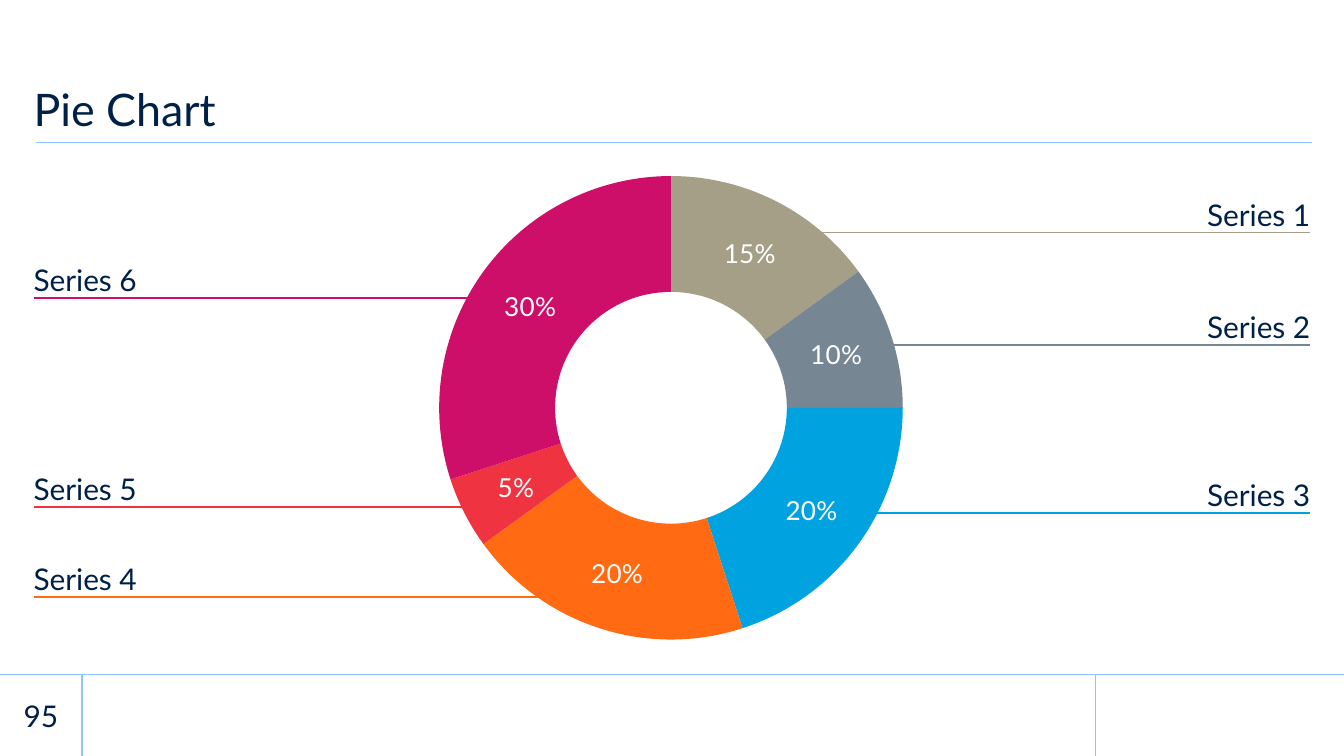
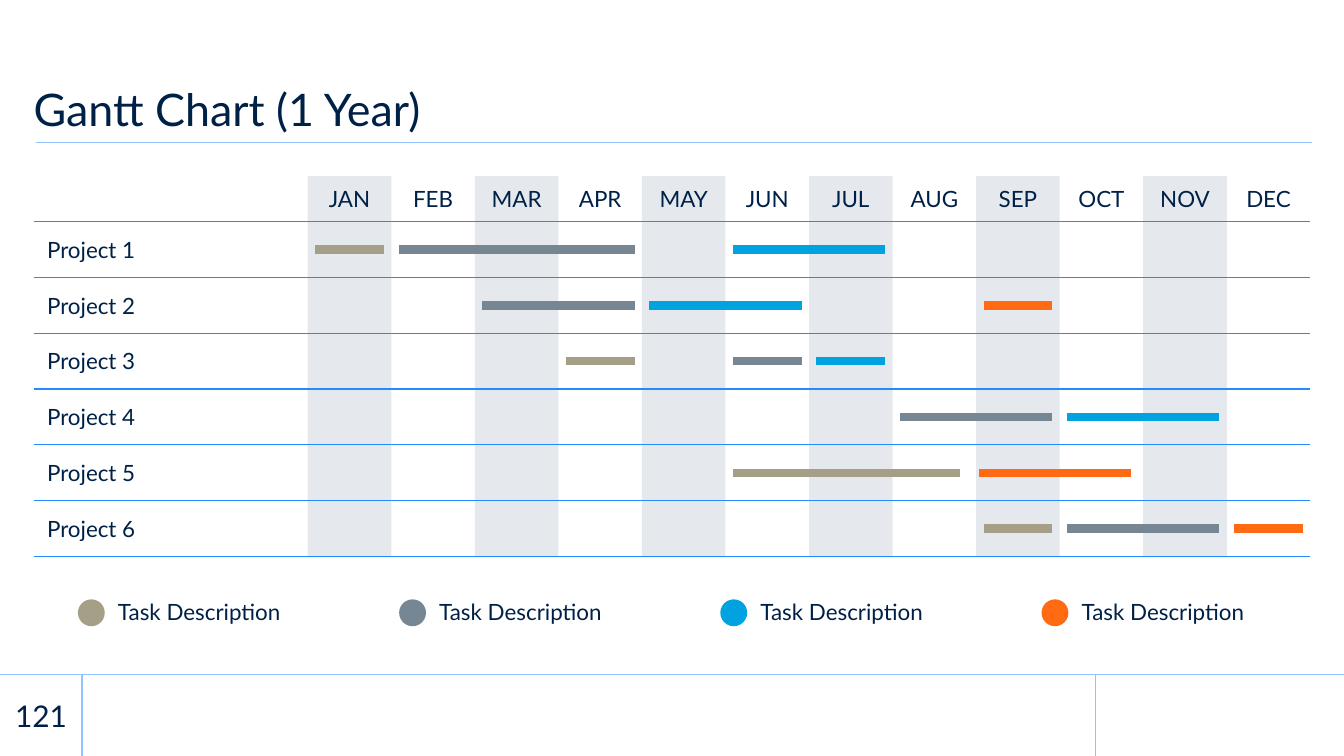
from lxml import etree
from pptx import Presentation
from pptx.chart.data import CategoryChartData
from pptx.dml.color import RGBColor
from pptx.enum.chart import XL_CHART_TYPE
from pptx.enum.shapes import MSO_CONNECTOR, MSO_SHAPE
from pptx.enum.text import MSO_ANCHOR, MSO_AUTO_SIZE, PP_ALIGN
from pptx.oxml.ns import qn
from pptx.util import Inches, Pt

NAVY = RGBColor(0x00, 0x21, 0x47)
WHITE = RGBColor(0xFF, 0xFF, 0xFF)
PALE_BLUE = RGBColor(0x91, 0xC4, 0xFF)
RULE_BLUE = RGBColor(0x23, 0x8A, 0xFF)
SAND = RGBColor(0xA6, 0x9F, 0x88)
SLATE = RGBColor(0x76, 0x86, 0x92)
SKY = RGBColor(0x00, 0xA3, 0xE0)
ORANGE = RGBColor(0xFF, 0x6A, 0x13)
RED = RGBColor(0xEF, 0x33, 0x40)
MAGENTA = RGBColor(0xCE, 0x0F, 0x69)

LEFT, CENTER, RIGHT = PP_ALIGN.LEFT, PP_ALIGN.CENTER, PP_ALIGN.RIGHT
MIDDLE, BOTTOM = MSO_ANCHOR.MIDDLE, MSO_ANCHOR.BOTTOM
RECTANGLE, OVAL = MSO_SHAPE.RECTANGLE, MSO_SHAPE.OVAL
STRAIGHT = MSO_CONNECTOR.STRAIGHT
DOUGHNUT = XL_CHART_TYPE.DOUGHNUT
GROW = MSO_AUTO_SIZE.SHAPE_TO_FIT_TEXT

FONT = "Lato"
NO_GRID_STYLE = "{2D5ABB26-0587-4C30-8999-92F81FD0307C}"

# Slide grid, in inches
SLIDE_W, SLIDE_H = 10, 5.625
MARGIN = SLIDE_W / 40
CONTENT_W = SLIDE_W - 2 * MARGIN
CONTENT_RIGHT = SLIDE_W - MARGIN
CONTENT_TOP = 1.31
TITLE_BOTTOM = 1.06
FOOTER_TOP = 5.02
FOOTER_H = SLIDE_H - FOOTER_TOP
NUMBER_W = 0.61
BRAND_LEFT = 8.15

# Gantt grid
MONTHS = "JAN FEB MAR APR MAY JUN JUL AUG SEP OCT NOV DEC".split()
NAME_W = 2.04
MONTH_W = (CONTENT_W - NAME_W) / len(MONTHS)
HEADER_H, PROJECT_H = 0.34, 0.415
BAR_INSET = 0.055

# Name, share, colour, height of the callout line, where the line meets the ring
SERIES = [
    ("Series 1", 0.15, SAND, 1.73, 5.5),
    ("Series 2", 0.10, SLATE, 2.57, 6.32),
    ("Series 3", 0.20, SKY, 3.82, 6.13),
    ("Series 4", 0.20, ORANGE, 4.44, 4.47),
    ("Series 5", 0.05, RED, 3.77, 3.71),
    ("Series 6", 0.30, MAGENTA, 2.22, 3.78),
]

# Tasks of each project: first month, month after the last, colour (0 is January)
PROJECTS = [
    [(0, 1, SAND), (1, 4, SLATE), (5, 7, SKY)],
    [(2, 4, SLATE), (4, 6, SKY), (8, 9, ORANGE)],
    [(3, 4, SAND), (5, 6, SLATE), (6, 7, SKY)],
    [(7, 9, SLATE), (9, 11, SKY)],
    [(5, 7.9, SAND), (7.94, 9.94, ORANGE)],
    [(8, 9, SAND), (9, 11, SLATE), (11, 12, ORANGE)],
]


def box(left, top, width, height):
    return [Inches(length) for length in (left, top, width, height)]


def set_alpha(properties, percent):
    """Make the solid fill inside a properties element translucent."""
    color = properties.find(qn("a:solidFill"))[0]
    etree.SubElement(color, qn("a:alpha")).set("val", str(percent * 1000))


def style_font(font, size, color=NAVY):
    font.name = FONT
    font.size = Pt(size)
    font.color.rgb = color


def write(frame, text, size, align=LEFT, spacing=None):
    paragraph = frame.paragraphs[0]
    paragraph.text = text
    paragraph.alignment = align
    paragraph.line_spacing = spacing
    style_font(paragraph.runs[0].font, size)


def add_text(shapes, area, text, size, anchor, align=LEFT, spacing=None,
             insets=(0, 0, 0, 0), wrap=True, grow=False):
    label = shapes.add_textbox(*box(*area))
    frame = label.text_frame
    frame.word_wrap = wrap
    frame.vertical_anchor = anchor
    (frame.margin_left, frame.margin_top,
     frame.margin_right, frame.margin_bottom) = map(Inches, insets)
    if grow:
        frame.auto_size = GROW
    write(frame, text, size, align, spacing)


def add_line(shapes, x1, y1, x2, y2, color, width):
    line = shapes.add_connector(STRAIGHT, *box(x1, y1, x2, y2))
    line.line.color.rgb = color
    line.line.width = Pt(width)
    etree.SubElement(line._element.spPr, qn("a:effectLst"))


def add_plain_shape(shapes, kind, area, color, alpha=None):
    shape = shapes.add_shape(kind, *box(*area))
    shape.shadow.inherit = False
    shape.fill.solid()
    shape.fill.fore_color.rgb = color
    shape.line.fill.background()
    if alpha:
        set_alpha(shape._element.spPr, alpha)


def add_base_slide(prs, title, number):
    """Add a slide with the footer band, title and rules that all slides share."""
    slide = prs.slides.add_slide(prs.slide_layouts[6])
    shapes = slide.shapes
    add_plain_shape(shapes, RECTANGLE, (0, FOOTER_TOP, SLIDE_W, FOOTER_H), WHITE, 85)
    add_plain_shape(shapes, RECTANGLE,
                    (BRAND_LEFT, FOOTER_TOP, SLIDE_W - BRAND_LEFT, FOOTER_H), WHITE)
    add_line(shapes, SLIDE_W, FOOTER_TOP, 0, FOOTER_TOP, PALE_BLUE, 0.75)
    for x in (BRAND_LEFT, NUMBER_W):
        add_line(shapes, x, SLIDE_H, x, FOOTER_TOP, PALE_BLUE, 0.75)
    add_line(shapes, 9.76, TITLE_BOTTOM, 0.27, TITLE_BOTTOM, PALE_BLUE, 0.75)
    add_text(shapes, (0, FOOTER_TOP, NUMBER_W, FOOTER_H), number, 16,
             MIDDLE, CENTER, wrap=False)
    add_text(shapes, (MARGIN, TITLE_BOTTOM - 0.8, CONTENT_W, 0.8), title, 24,
             BOTTOM, spacing=0.9, insets=(0, 0, 0, 0.05))
    return slide


def add_callout(slide, name, color, y, ring_x):
    """Name a ring segment at the slide edge on its own side of the ring."""
    on_right = ring_x > SLIDE_W / 2
    edge = CONTENT_RIGHT if on_right else MARGIN
    width, height = 2.84, 0.24
    shapes = slide.shapes.add_group_shape().shapes
    add_line(shapes, ring_x, y, edge, y, color, 1)
    add_text(shapes, (edge - width if on_right else edge, y - height, width, height),
             name, 16, BOTTOM, RIGHT if on_right else LEFT, 0.9, grow=True)


def set_plot_layout(chart, **shares):
    """Fix the inner plot area as shares of the chart's size."""
    plot_area = chart._chartSpace.chart.plotArea
    layout = plot_area.find(qn("c:layout"))
    if layout is None:
        layout = etree.Element(qn("c:layout"))
        plot_area.insert(0, layout)
    manual = etree.SubElement(layout, qn("c:manualLayout"))
    settings = {"layoutTarget": "inner", "xMode": "edge", "yMode": "edge", **shares}
    for tag, value in settings.items():
        etree.SubElement(manual, qn("c:" + tag)).set("val", str(value))


def add_ring_chart(slide):
    data = CategoryChartData(number_format="0%")
    data.categories = [str(i) for i in range(1, len(SERIES) + 1)]
    data.add_series("Series 1", [share for _, share, *_ in SERIES])
    chart = slide.shapes.add_chart(
        DOUGHNUT, *box(3.03, CONTENT_TOP, 3.95, 3.45), data).chart
    chart.has_legend = False
    chart.has_title = False
    chart.font.name = FONT
    chart.font.size = Pt(18)
    set_plot_layout(chart, x=0.039, y=0, w=0.916, h=1)
    chart._chartSpace.find(".//" + qn("c:holeSize")).set("val", "65")

    ring = chart.plots[0].series[0]
    for i, (_, _, color, *_) in enumerate(SERIES):
        segment = ring.points[i].format
        segment.fill.solid()
        segment.fill.fore_color.rgb = color
        segment.line.fill.background()
    labels = ring.data_labels
    labels.show_value = True
    labels.number_format = "0%"
    labels.number_format_is_linked = False
    style_font(labels.font, 14, WHITE)


def add_cell_rule(cell, side):
    properties = cell._tc.get_or_add_tcPr()
    rule = etree.SubElement(properties, qn("a:" + side), w=str(Pt(0.75)))
    fill = etree.SubElement(rule, qn("a:solidFill"))
    etree.SubElement(fill, qn("a:srgbClr")).set("val", str(RULE_BLUE))


def style_gantt_cell(cell, row, column):
    cell.vertical_anchor = MIDDLE
    cell.margin_top = cell.margin_bottom = 0
    if row:
        add_cell_rule(cell, "lnT")
    add_cell_rule(cell, "lnB")
    if column % 2:
        cell.fill.solid()
        cell.fill.fore_color.rgb = NAVY
        set_alpha(cell._tc.tcPr, 10)
    else:
        cell.fill.background()


def add_gantt_table(slide):
    rows, columns = len(PROJECTS) + 1, len(MONTHS) + 1
    height = HEADER_H + len(PROJECTS) * PROJECT_H
    table = slide.shapes.add_table(
        rows, columns, *box(MARGIN, CONTENT_TOP, CONTENT_W, height)).table
    table.first_row = table.horz_banding = False
    table._tbl.tblPr.find(qn("a:tableStyleId")).text = NO_GRID_STYLE
    for column in range(columns):
        table.columns[column].width = Inches(MONTH_W if column else NAME_W)
    for row in range(rows):
        table.rows[row].height = Inches(PROJECT_H if row else HEADER_H)
        for column in range(columns):
            style_gantt_cell(table.cell(row, column), row, column)
    for column, month in enumerate(MONTHS, 1):
        write(table.cell(0, column).text_frame, month, 12, CENTER)
    for row in range(1, rows):
        write(table.cell(row, 0).text_frame, f"Project {row}", 12)


def add_task_bars(slide):
    january = MARGIN + NAME_W
    for row, tasks in enumerate(PROJECTS):
        y = CONTENT_TOP + HEADER_H + (row + 0.5) * PROJECT_H
        for start, end, color in tasks:
            add_line(slide.shapes, january + start * MONTH_W + BAR_INSET, y,
                     january + end * MONTH_W - BAR_INSET, y, color, 4.5)


def add_task_legend(slide):
    dot, pitch = 0.2, 2.39
    for i, color in enumerate((SAND, SLATE, SKY, ORANGE)):
        x = 0.58 + i * pitch
        shapes = slide.shapes.add_group_shape().shapes
        add_plain_shape(shapes, OVAL, (x, 4.46, dot, dot), color)
        add_text(shapes, (x + dot, 4.4, 1.5, 0.3), "Task Description", 12, MIDDLE,
                 insets=(0.1, 0.05, 0.1, 0.05), wrap=False, grow=True)


def main():
    prs = Presentation()
    prs.slide_width, prs.slide_height = Inches(SLIDE_W), Inches(SLIDE_H)

    pie = add_base_slide(prs, "Pie Chart", "95")
    for name, _, color, y, ring_x in SERIES:
        add_callout(pie, name, color, y, ring_x)
    add_ring_chart(pie)

    gantt = add_base_slide(prs, "Gantt Chart (1 Year)", "121")
    add_gantt_table(gantt)
    add_task_legend(gantt)
    add_task_bars(gantt)

    prs.save("out.pptx")


if __name__ == "__main__":
    main()
